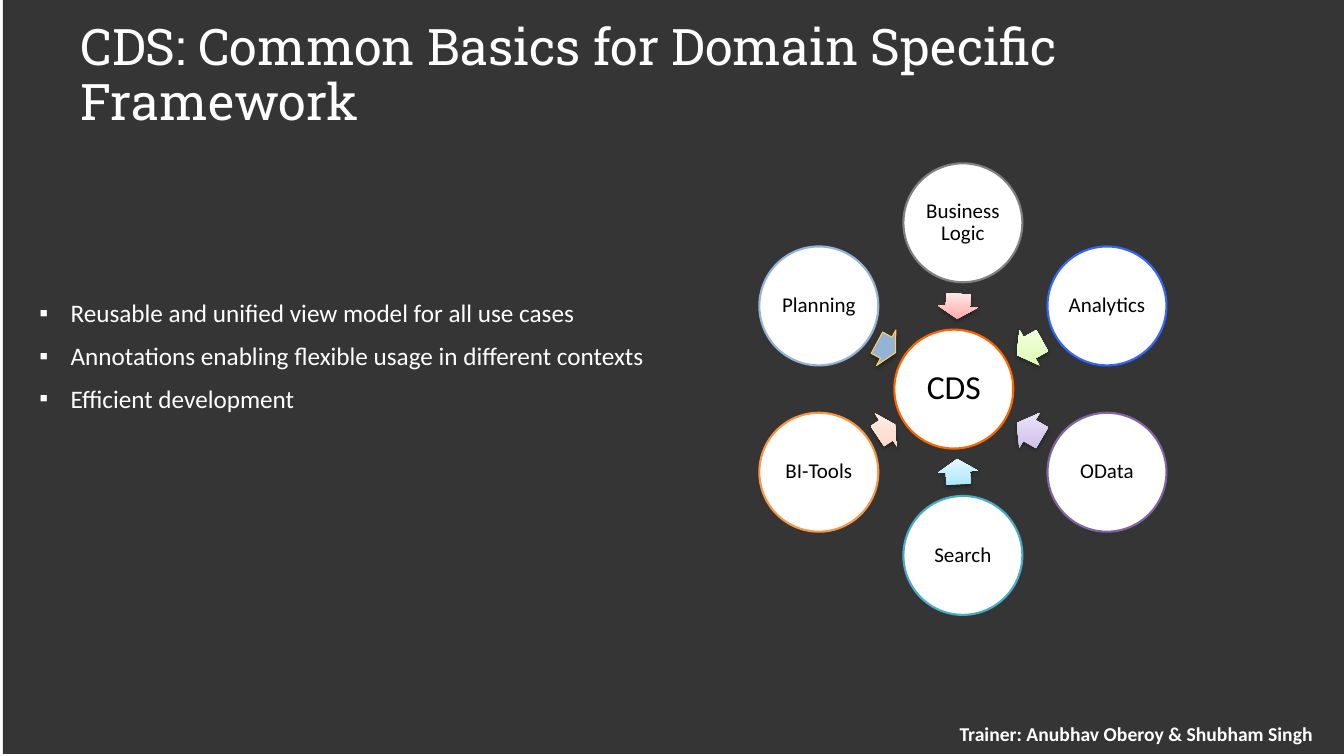
import math

from lxml import etree
from pptx import Presentation, oxml
from pptx import util as u
from pptx.dml import color
from pptx.enum import shapes, text
from pptx.oxml import ns

COLORS = {
    "white": "FFFFFF", "black": "000000", "panel": "262626", "core": "FF6600",
    "grey": "808080", "blue": "3366FF", "purple": "8064A2", "teal": "4BACC6",
    "orange": "F79646", "sky": "95B3D7", "gold": "FFD05D",
}
BULLETS = [
    "Reusable and unified view model for all use cases",
    "Annotations enabling flexible usage in different contexts",
    "Efficient development",
]
DOMAINS = [
    ("Business Logic", "grey", 93.2, 0.25, ("FFA6A5", "FFC0BF", "FFE7E7")),
    ("Analytics", "blue", 150.7, 0.29, ("DAFDA7", "E4FCC2", "F5FFE7")),
    ("OData", "purple", 210.2, 0.29, ("C9B5E8", "D8CBEE", "F0EAF9")),
    ("Search", "teal", 266.8, 0.25, ("A7E6FF", "C1EDFF", "E7F8FF")),
    ("BI-Tools", "orange", 326.5, 0.21, ("FFD2BD", "FFDED0", "FFF2ED")),
    ("Planning", "sky", 28.4, 0.21, None),
]
HUB_Y = 3.86
CIRCLE = 1.18


def rgb(name):
    return color.RGBColor.from_string(COLORS[name])


def add_bullet(paragraph, indent):
    properties = paragraph._p.get_or_add_pPr()
    properties.set("marL", str(u.Inches(indent)))
    properties.set("indent", str(-u.Inches(indent)))
    etree.SubElement(properties, ns.qn("a:buChar")).set("char", "▪")


def write(shape, lines, size, font="Calibri", ink="white", bold=False, align="LEFT",
          inset=(0.1, 0.05), spacing=1.0, after=0, indent=None):
    frame = shape.text_frame
    frame.word_wrap = True
    frame.auto_size = text.MSO_AUTO_SIZE.NONE
    frame.vertical_anchor = text.MSO_ANCHOR.MIDDLE
    frame.margin_left = frame.margin_right = u.Inches(inset[0])
    frame.margin_top = frame.margin_bottom = u.Inches(inset[1])
    for index, line in enumerate(lines):
        paragraph = frame.add_paragraph() if index else frame.paragraphs[0]
        if indent:
            add_bullet(paragraph, indent)
        paragraph.alignment = text.PP_ALIGN[align]
        paragraph.line_spacing = spacing
        paragraph.space_before = u.Pt(0)
        paragraph.space_after = u.Pt(after)
        run = paragraph.add_run()
        run.text = line
        run.font.name = font
        run.font.size = u.Pt(size)
        run.font.bold = bold
        run.font.color.rgb = rgb(ink)


class SlideBuilder:
    def __init__(self, presentation):
        self.slide = presentation.slides.add_slide(presentation.slide_layouts[1])
        fill = self.slide.background.fill
        fill.solid()
        fill.fore_color.rgb = rgb("white")
        self.diagram = None

    def preset(self, kind, box, fill=None, line=None, width=1.5):
        parent = self.diagram or self.slide
        shape = parent.shapes.add_shape(kind, *map(u.Inches, box))
        shape.shadow.inherit = False
        if fill:
            shape.fill.solid()
            shape.fill.fore_color.rgb = rgb(fill)
        if line:
            shape.line.color.rgb = rgb(line)
            shape.line.width = u.Pt(width)
        else:
            shape.line.fill.background()
        return shape

    def panel(self, box):
        shape = self.preset(shapes.MSO_SHAPE.RECTANGLE, box, "panel")
        tint = shape._element.spPr.find(".//" + ns.qn("a:srgbClr"))
        etree.SubElement(tint, ns.qn("a:alpha")).set("val", "93000")
        shape._element.getparent().insert(2, shape._element)

    def placeholder(self, index, box, lines, **style):
        shape = self.slide.placeholders[index]
        shape.left, shape.top, shape.width, shape.height = map(u.Inches, box)
        write(shape, lines, **style)

    def label(self, box, line, **style):
        write(self.slide.shapes.add_textbox(*map(u.Inches, box)), [line], **style)

    def start_diagram(self):
        self.diagram = self.slide.shapes.add_group_shape()

    def circle(self, x, y, line, outline, size):
        box = (x - CIRCLE / 2, y - CIRCLE / 2, CIRCLE, CIRCLE)
        shape = self.preset(shapes.MSO_SHAPE.OVAL, box, "white", outline)
        write(shape, [line], size, ink="black", align="CENTER", inset=(0.02, 0.02), spacing=0.9)

    def arrow(self, x, y, length, rotation, gradient):
        height = 0.4
        box = (x - length / 2, y - height / 2, length, height)
        kind = shapes.MSO_SHAPE.RIGHT_ARROW
        if gradient:
            shape = self.preset(kind, box)
            self.blend(shape, gradient)
        else:
            shape = self.preset(kind, box, "sky", "gold", 0.75)
        shape.adjustments[0] = 0.6
        shape.adjustments[1] = 0.5
        shape.rotation = rotation
        self.shade(shape)

    def blend(self, shape, gradient):
        stops = "".join(
            f'<a:gs pos="{position}"><a:srgbClr val="{tint}"/></a:gs>'
            for position, tint in zip((0, 35000, 100000), gradient))
        fill = oxml.parse_xml(
            f'<a:gradFill {ns.nsdecls("a")} rotWithShape="0"><a:gsLst>{stops}</a:gsLst>'
            '<a:lin ang="16200000" scaled="0"/></a:gradFill>')
        shape._element.spPr.find(ns.qn("a:prstGeom")).addnext(fill)

    def shade(self, shape):
        shadow = oxml.parse_xml(
            f'<a:outerShdw {ns.nsdecls("a")} blurRad="{u.Pt(3.1)}" dist="{u.Pt(1.6)}" '
            f'dir="5400000" rotWithShape="0"><a:srgbClr val="{COLORS["black"]}">'
            '<a:alpha val="38000"/></a:srgbClr></a:outerShdw>')
        shape._element.spPr.find(ns.qn("a:effectLst")).append(shadow)


def main():
    presentation = Presentation()
    presentation.slide_width = u.Inches(13.33)
    presentation.slide_height = u.Inches(7.5)
    builder = SlideBuilder(presentation)
    builder.panel((0.03, -0.02, 13.33, 7.5))
    builder.placeholder(0, (0.67, 0.37, 12, 0.78),
                        ["CDS: Common Basics for Domain Specific Framework"],
                        size=36, font="Roboto Slab", inset=(0.13, 0.07), spacing=0.9)
    builder.placeholder(1, (0.29, 1.61, 6.54, 3.83), BULLETS, size=18, after=9, indent=0.31)
    builder.start_diagram()
    builder.circle(9.46, HUB_Y, "CDS", "core", 24)
    for index, (name, outline, rotation, length, gradient) in enumerate(DOMAINS):
        angle = math.radians(60 * index - 90)
        across, down = math.cos(angle), math.sin(angle)
        builder.arrow(9.5 + 0.82 * across, HUB_Y + 0.82 * down, length, rotation, gradient)
        builder.circle(9.55 + 1.65 * across, HUB_Y + 1.65 * down, name, outline, 15)
    builder.label((9.26, 7.08, 4.02, 0.39), "Trainer: Anubhav Oberoy & Shubham Singh",
                  size=14, bold=True, align="CENTER", inset=(0.13, 0.07))
    presentation.save("out.pptx")


if __name__ == "__main__":
    main()
